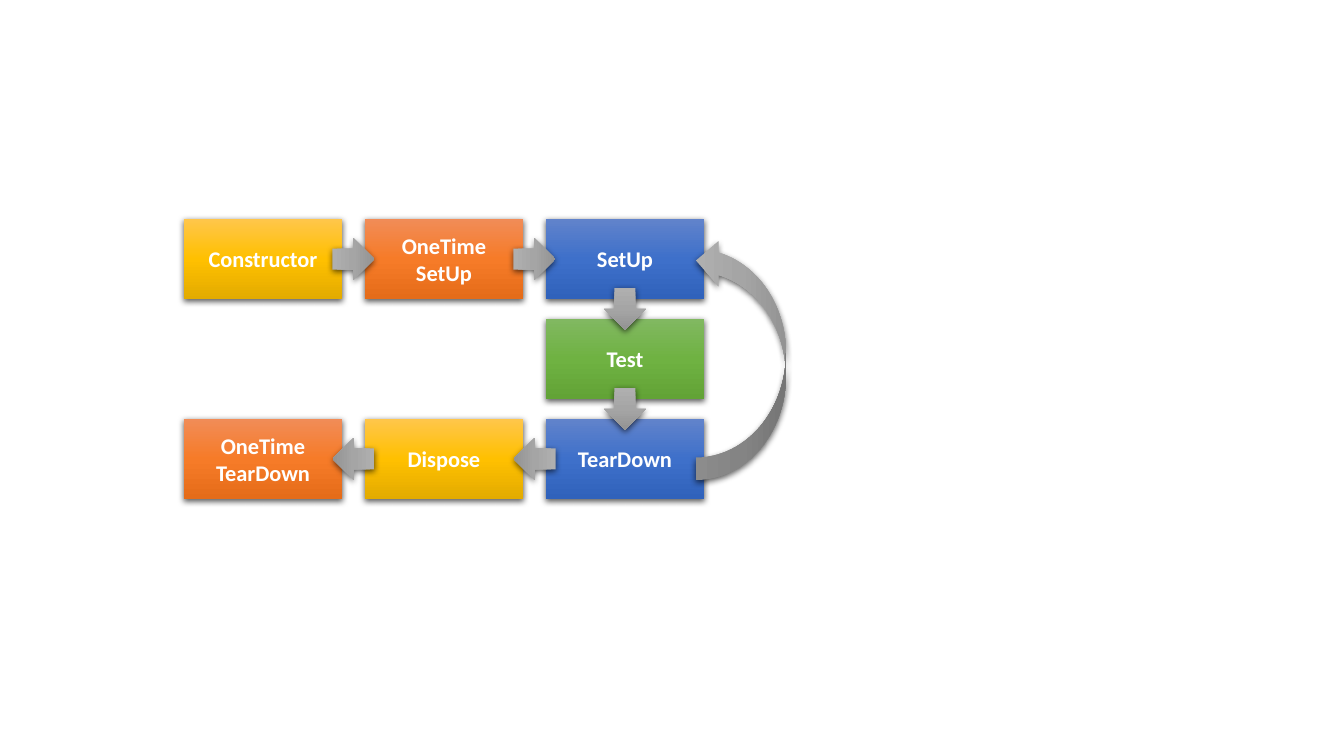
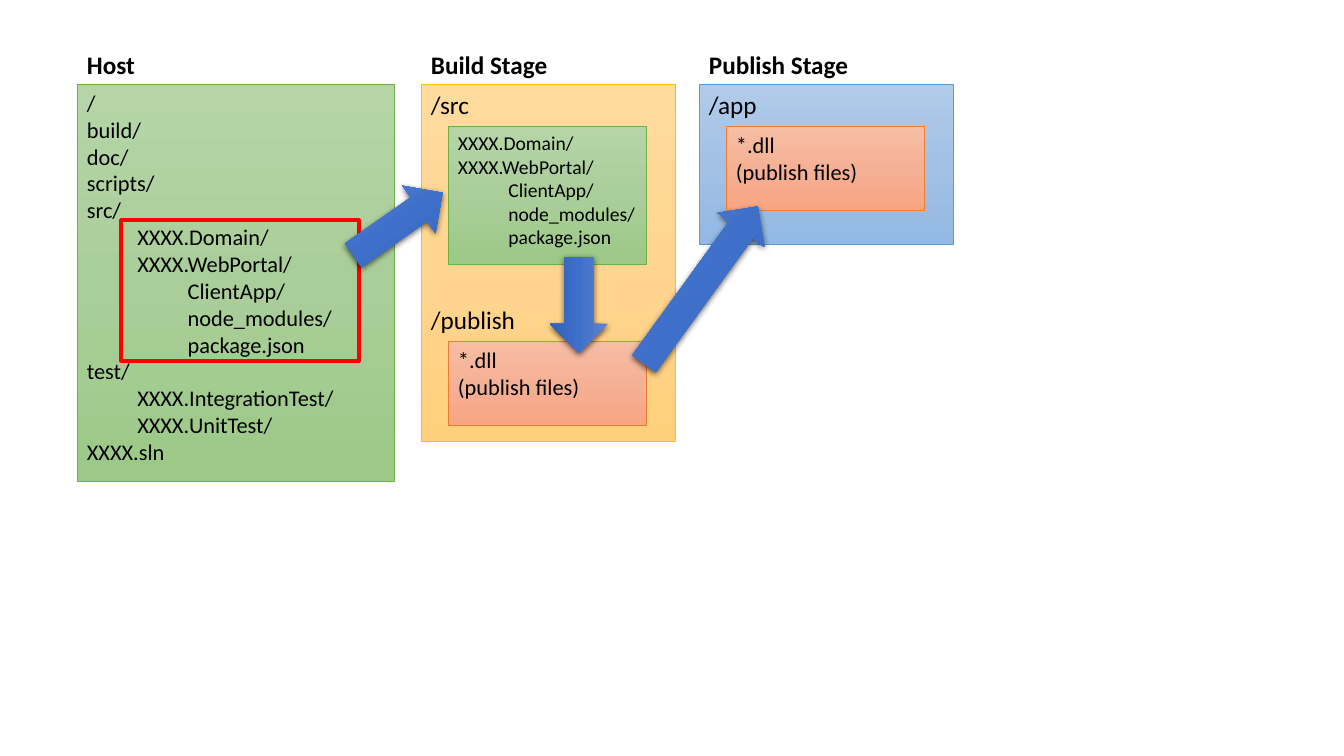
import copy

import pptx
import pptx.dml.color
import pptx.enum.shapes
import pptx.enum.text
import pptx.oxml
import pptx.oxml.ns
import pptx.util

RGB = pptx.dml.color.RGBColor
SHAPE = pptx.enum.shapes.MSO_SHAPE
ANCHOR = pptx.enum.text.MSO_ANCHOR
ALIGN = pptx.enum.text.PP_ALIGN

PX = 914400 / 100.8
FONT = "Calibri"
WHITE, BLACK, RED = RGB(255, 255, 255), RGB(0, 0, 0), RGB(255, 0, 0)

# Three-stop gradients, top to bottom
BLUE = RGB(0x61, 0x83, 0xCB), RGB(0x3E, 0x70, 0xCA), RGB(0x30, 0x62, 0xBB)
GOLD = RGB(0xFF, 0xC6, 0x4B), RGB(0xFF, 0xC0, 0x00), RGB(0xE3, 0xAB, 0x00)
ORANGE = RGB(0xF1, 0x8C, 0x57), RGB(0xF6, 0x7B, 0x28), RGB(0xE5, 0x6C, 0x19)
GREEN = RGB(0x81, 0xB8, 0x61), RGB(0x6F, 0xB2, 0x42), RGB(0x62, 0xA3, 0x36)
GRAY = RGB(0xAF, 0xAF, 0xAF), RGB(0xA5, 0xA5, 0xA5), RGB(0x93, 0x93, 0x93)
PALE_GOLD = RGB(0xFF, 0xDB, 0x9E), RGB(0xFF, 0xD5, 0x90), RGB(0xFF, 0xD0, 0x7C)
PALE_GREEN = RGB(0xB5, 0xD5, 0xA7), RGB(0xAA, 0xCE, 0x9A), RGB(0x9C, 0xC9, 0x87)
PALE_BLUE = RGB(0xB1, 0xCB, 0xE9), RGB(0xA3, 0xC1, 0xE5), RGB(0x93, 0xB9, 0xE4)
PALE_ORANGE = RGB(0xF7, 0xBD, 0xA5), RGB(0xF5, 0xB1, 0x96), RGB(0xF8, 0xA5, 0x82)
GOLD_EDGE, GREEN_EDGE = RGB(0xFF, 0xC0, 0x00), RGB(0x70, 0xAD, 0x47)
BLUE_EDGE, ORANGE_EDGE = RGB(0x5B, 0x9B, 0xD5), RGB(0xED, 0x7D, 0x31)

SHADOW = (
    f'<a:outerShdw {pptx.oxml.ns.nsdecls("a")} blurRad="57150" dist="19050" '
    'dir="5400000" algn="ctr" rotWithShape="0"><a:srgbClr val="000000">'
    '<a:alpha val="63000"/></a:srgbClr></a:outerShdw>')


def px(*lengths):
    return [pptx.util.Emu(round(length * PX)) for length in lengths]


# Shared drawing
def paint_gradient(shape, colors):
    shape.fill.gradient()
    shape.fill.gradient_angle = 270
    stop_list = shape._element.spPr.find(".//" + pptx.oxml.ns.qn("a:gsLst"))
    stop_list.append(copy.deepcopy(stop_list[0]))
    for stop, position, color in zip(shape.fill.gradient_stops, (0, 0.5, 1), colors):
        stop.position = position
        stop.color.rgb = color


def draw(slide, kind, box, colors=None, edge=None, edge_width=0.5, shadow=False, turn=0):
    shape = slide.shapes.add_shape(kind, *px(*box))
    shape.rotation = turn
    shape.shadow.inherit = False
    if shadow:
        effects = shape._element.spPr.find(pptx.oxml.ns.qn("a:effectLst"))
        effects.append(pptx.oxml.parse_xml(SHADOW))
    if colors:
        paint_gradient(shape, colors)
    else:
        shape.fill.background()
    if edge is None:
        shape.line.fill.background()
    else:
        shape.line.color.rgb = edge
        shape.line.width = pptx.util.Pt(edge_width)
    return shape


def write(shape, lines, size, color=BLACK, bold=False, align=ALIGN.LEFT, anchor=ANCHOR.TOP):
    """Each line is its text, or a pair of indent level and text."""
    frame = shape.text_frame
    frame.vertical_anchor = anchor
    for number, line in enumerate(lines):
        level, text = (0, line) if isinstance(line, str) else line
        paragraph = frame.add_paragraph() if number else frame.paragraphs[0]
        paragraph.alignment = align
        if level:
            paragraph.level = level
            paragraph._p.get_or_add_pPr().set("marL", str(level * 457200))
        run = paragraph.add_run()
        run.text = text
        run.font.name = FONT
        run.font.size = pptx.util.Pt(size)
        run.font.bold = bold
        run.font.color.rgb = color
    return frame


# Test life cycle
STEP_W, STEP_H = 158, 80
PITCH_X, PITCH_Y = 181, 100
STEPS = [
    (0, 0, GOLD, ["Constructor"]),
    (1, 0, ORANGE, ["OneTime", "SetUp"]),
    (2, 0, BLUE, ["SetUp"]),
    (2, 1, GREEN, ["Test"]),
    (2, 2, BLUE, ["TearDown"]),
    (1, 2, GOLD, ["Dispose"]),
    (0, 2, ORANGE, ["OneTime", "TearDown"]),
]
TURNS = {(1, 0): 270, (0, 1): 0, (-1, 0): 90}


def life_cycle(slide, left, top):
    for column, row, colors, lines in STEPS:
        box = left + column * PITCH_X, top + row * PITCH_Y, STEP_W, STEP_H
        step = draw(slide, SHAPE.RECTANGLE, box, colors, shadow=True)
        write(step, lines, 16, WHITE, True, ALIGN.CENTER, ANCHOR.MIDDLE)

    # An arrow halfway between each step and the next
    side = 42
    for (column, row, *_), (next_column, next_row, *_) in zip(STEPS, STEPS[1:]):
        x = left + (column + next_column) / 2 * PITCH_X + (STEP_W - side) / 2
        y = top + (row + next_row) / 2 * PITCH_Y + (STEP_H - side) / 2
        turn = TURNS[next_column - column, next_row - row]
        draw(slide, SHAPE.DOWN_ARROW, (x, y, side, side), GRAY, shadow=True, turn=turn)

    # Loop back from TearDown to SetUp
    length, depth, overlap = 242, 90, 8
    center_x = left + 2 * PITCH_X + STEP_W - overlap + depth / 2
    center_y = top + PITCH_Y + STEP_H / 2
    loop = center_x - length / 2, center_y - depth / 2, length, depth
    draw(slide, SHAPE.CURVED_UP_ARROW, loop, GRAY, shadow=True, turn=270)


# Build stages
PUBLISHED = ["*.dll", "(publish files)"]
INSET_X, INSET_Y, INNER_W = 27, 42, 198


def stage(slide, box, heading, heading_width, colors, edge, lines, size):
    left, top, _, _ = box
    label = slide.shapes.add_textbox(*px(left, top - 40, heading_width, 40))
    label.text_frame.word_wrap = False
    write(label, [heading], 18, bold=True)
    return write(draw(slide, SHAPE.RECTANGLE, box, colors, edge), lines, size)


def published_files(slide, left, top):
    box = left, top, INNER_W, 84
    write(draw(slide, SHAPE.RECTANGLE, box, PALE_ORANGE, ORANGE_EDGE), PUBLISHED, 16)


def host_stage(slide, left, top):
    lines = ["/", "build/", "doc/", "scripts/", "src/",
             (1, "XXXX.Domain/"), (1, "XXXX.WebPortal/"), (2, "ClientApp/"),
             (2, "node_modules/"), (2, "package.json"), "test/",
             (1, "XXXX.IntegrationTest/"), (1, "XXXX.UnitTest/"), "XXXX.sln"]
    stage(slide, (left, top, 317, 397), "Host", 68, PALE_GREEN, GREEN_EDGE, lines, 16)
    copied_part = left + 44, top + 136, 238, 141
    draw(slide, SHAPE.RECTANGLE, copied_part, edge=RED, edge_width=2.25)


def build_stage(slide, left, top):
    folders = stage(slide, (left, top, 254, 357), "Build Stage", 138,
                    PALE_GOLD, GOLD_EDGE, ["/src", "/publish"], 18)
    folders.paragraphs[1].space_before = pptx.util.Pt(132)
    box = left + INSET_X, top + INSET_Y, INNER_W, 138
    sources = draw(slide, SHAPE.RECTANGLE, box, PALE_GREEN, GREEN_EDGE)
    write(sources, ["XXXX.Domain/", "XXXX.WebPortal/", (1, "ClientApp/"),
                    (1, "node_modules/"), (1, "package.json")], 14)
    published_files(slide, left + INSET_X, top + 257)


def publish_stage(slide, left, top):
    stage(slide, (left, top, 254, 160), "Publish Stage", 160,
          PALE_BLUE, BLUE_EDGE, ["/app"], 18)
    published_files(slide, left + INSET_X, top + INSET_Y)


def flow_arrow(slide, center_x, center_y, length, turn):
    width = 58
    box = center_x - length / 2, center_y - width / 2, length, width
    draw(slide, SHAPE.RIGHT_ARROW, box, BLUE, shadow=True, turn=turn)


def build_stages(slide, left, top):
    host_stage(slide, left, top)
    build_stage(slide, left + 344, top)
    publish_stage(slide, left + 622, top)
    # Host to build, sources to output, output to publish
    for x, y, length, turn in [(321, 140, 109, 325), (502, 221, 96, 90),
                               (624, 201, 194, 305.9)]:
        flow_arrow(slide, left + x, top + y, length, turn)


deck = pptx.Presentation()
deck.slide_width, deck.slide_height = px(1344, 756)
blank = deck.slide_layouts[6]
life_cycle(deck.slides.add_slide(blank), 184, 219)
build_stages(deck.slides.add_slide(blank), 77, 84)
deck.save("out.pptx")
